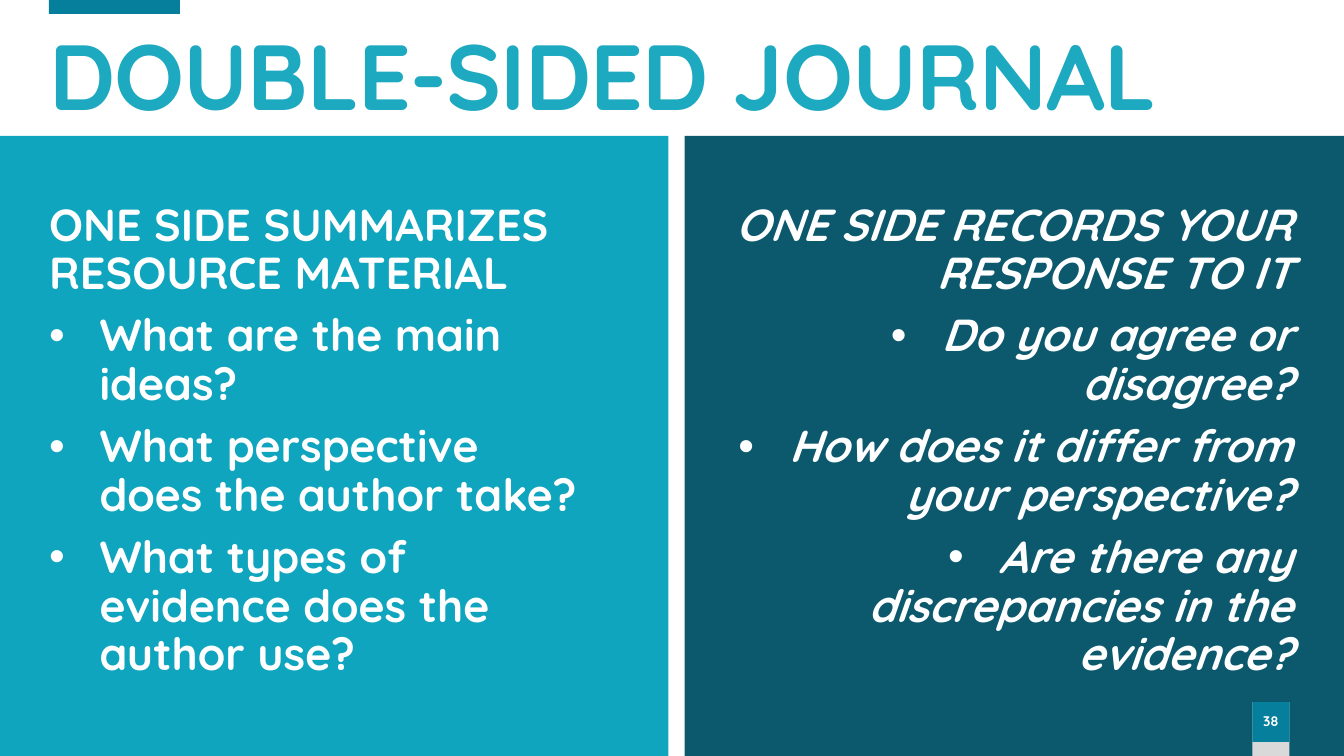
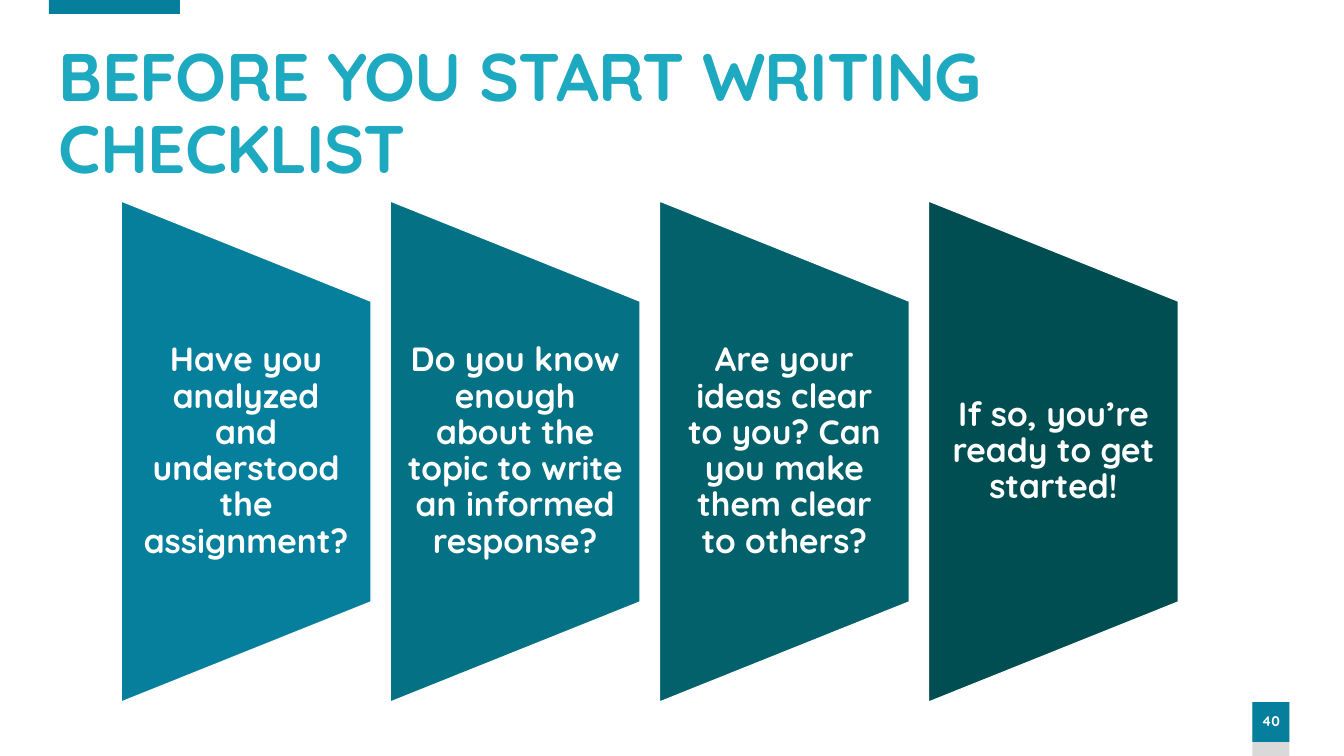
from pptx import Presentation
from pptx.dml.color import RGBColor
from pptx.enum.shapes import MSO_SHAPE as Shape
from pptx.enum.text import MSO_ANCHOR as Anchor, PP_ALIGN as Align
from pptx.oxml.ns import qn
from pptx.util import Pt
from lxml.etree import SubElement

COLORS = {
    "title": "1DA9BF",
    "accent": "067F9C",
    "left panel": "0FA5BE",
    "right panel": "0C596D",
    "tab base": "D9D9D9",
    "white": "FFFFFF",
}

# Each style holds values for the frame, its paragraphs and their fonts
STYLES = {
    "title": {
        "frame": {"vertical_anchor": Anchor.MIDDLE},
        "paragraph": {"alignment": Align.LEFT},
        "font": {}, "color": "title", "spacing": "-60",
    },
    "left body": {
        "frame": {"vertical_anchor": Anchor.TOP},
        "paragraph": {"alignment": Align.LEFT},
        "font": {"size": Pt(32)}, "color": "white",
    },
    "right body": {
        "frame": {"vertical_anchor": Anchor.TOP},
        "paragraph": {"alignment": Align.RIGHT},
        "font": {"size": Pt(32), "italic": True}, "color": "white",
    },
    "number": {
        "frame": {"vertical_anchor": Anchor.MIDDLE, "margin_left": 0, "margin_right": 0},
        "paragraph": {"alignment": Align.CENTER},
        "font": {"size": Pt(10)}, "color": "white",
    },
    "step": {
        "frame": {"vertical_anchor": Anchor.MIDDLE, "margin_left": Pt(12),
                  "margin_right": Pt(12), "margin_top": 0, "margin_bottom": 0},
        "paragraph": {"alignment": Align.CENTER},
        "font": {"size": Pt(24)}, "color": "white",
    },
}


def add_block(slide, kind, box, color, line=None):
    shape = slide.shapes.add_shape(kind, *map(Pt, box))
    shape.shadow.inherit = False
    shape.fill.solid()
    shape.fill.fore_color.rgb = RGBColor.from_string(color)
    if line:
        shape.line.color.rgb = RGBColor.from_string(line)
        shape.line.width = Pt(1)
    else:
        shape.line.fill.background()
    return shape


def write_text(shape, style_name, lines, size=None):
    """The first line is plain; any further lines are bulleted."""
    style = STYLES[style_name]
    frame = shape.text_frame
    frame.word_wrap = True
    for name, value in style["frame"].items():
        setattr(frame, name, value)
    for index, line in enumerate(lines):
        paragraph = frame.add_paragraph() if index else frame.paragraphs[0]
        paragraph.line_spacing = 0.9
        for name, value in style["paragraph"].items():
            setattr(paragraph, name, value)
        if index:
            paragraph.space_before = Pt(10)
            properties = paragraph._p.get_or_add_pPr()
            properties.set("marL", str(Pt(36)))
            properties.set("indent", str(-Pt(36)))
            SubElement(properties, qn("a:buFont")).set("typeface", "Arial")
            SubElement(properties, qn("a:buChar")).set("char", "•")
        run = paragraph.add_run()
        run.text = line
        values = {"name": "Quicksand", "bold": True, "size": size} | style["font"]
        for name, value in values.items():
            setattr(run.font, name, value)
        run.font.color.rgb = RGBColor.from_string(COLORS[style["color"]])
        if "spacing" in style:
            run._r.get_or_add_rPr().set("spc", style["spacing"])


presentation = Presentation()
presentation.slide_width, presentation.slide_height = Pt(960), Pt(540)

# Title, title box, title size and page number of each slide
pages = [
    ("DOUBLE-SIDED JOURNAL", (28, 18, 879, 79), 66, "38"),
    ("BEFORE YOU START WRITING CHECKLIST", (35, 26.5, 925, 112.5), 48, "40"),
]

# Two panels: box, fill, text box, style and lines
panels = [
    ((0, 97, 477.5, 443), "left panel", (28, 141, 397.5, 27), "left body", [
        "ONE SIDE SUMMARIZES RESOURCE MATERIAL",
        "What are the main ideas?",
        "What perspective does the author take?",
        "What types of evidence does the author use?",
    ]),
    ((489, 97, 471, 443), "right panel", (489, 141, 441.5, 27), "right body", [
        "ONE SIDE RECORDS YOUR RESPONSE TO IT",
        "Do you agree or disagree?",
        "How does it differ from your perspective?",
        "Are there any discrepancies in the evidence?",
    ]),
]

# Checklist steps: text and fill
steps = [
    ("Have you analyzed and understood the assignment?", "067F9C"),
    ("Do you know enough about the topic to write an informed response?", "047184"),
    ("Are your ideas clear to you? Can you make them clear to others?", "02616B"),
    ("If so, you’re ready to get started!", "014E52"),
]

# Shared parts: top bar, title and page number tab
for title, title_box, title_size, number in pages:
    slide = presentation.slides.add_slide(presentation.slide_layouts[6])
    add_block(slide, Shape.RECTANGLE, (35, 0, 93.5, 10), COLORS["accent"])
    title_shape = slide.shapes.add_textbox(*map(Pt, title_box))
    write_text(title_shape, "title", [title], Pt(title_size))

    # Double-sided journal panels
    if number == "38":
        for box, color, text_box, style_name, lines in panels:
            add_block(slide, Shape.RECTANGLE, box, COLORS[color])
            write_text(slide.shapes.add_textbox(*map(Pt, text_box)), style_name, lines)

    # Checklist steps, each a tapered block turned on its side
    else:
        step_width, step_height, text_height = 178.5, 358, 214.5
        center_y = 322.5
        for index, (text, color) in enumerate(steps):
            left = 86.5 + index * 192.25
            turned_box = (left + (step_width - step_height) / 2, center_y - step_width / 2,
                          step_height, step_width)
            block = add_block(slide, Shape.FLOWCHART_MANUAL_OPERATION, turned_box,
                              color, COLORS["white"])
            block.rotation = 270
            label = slide.shapes.add_textbox(
                Pt(left), Pt(center_y - text_height / 2), Pt(step_width), Pt(text_height))
            write_text(label, "step", [text])

    add_block(slide, Shape.RECTANGLE, (894.5, 501.5, 26.5, 38.5), COLORS["tab base"])
    tab = add_block(slide, Shape.RECTANGLE, (894.5, 501.5, 26.5, 28.5), COLORS["accent"])
    write_text(tab, "number", [number])

presentation.save("out.pptx")
